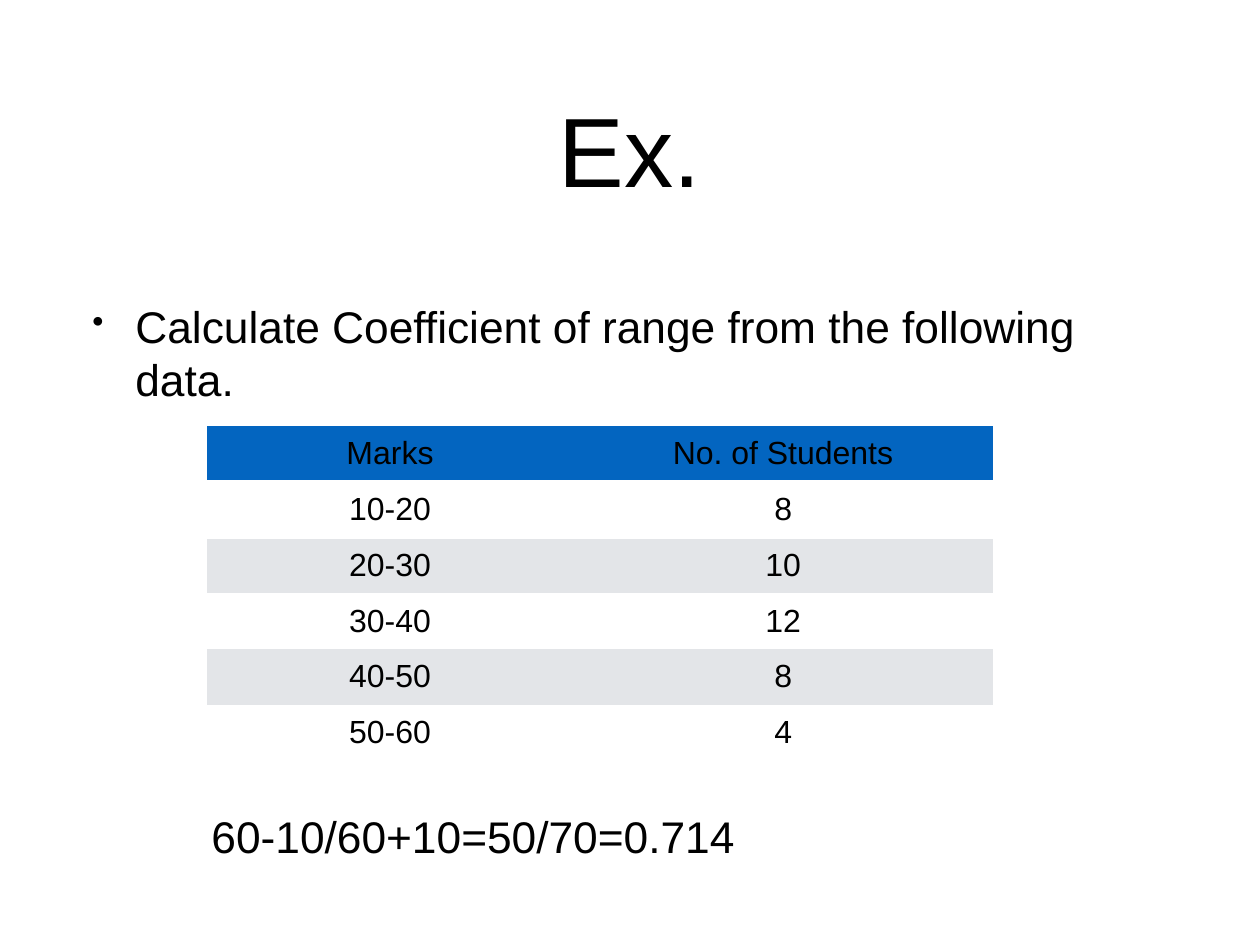
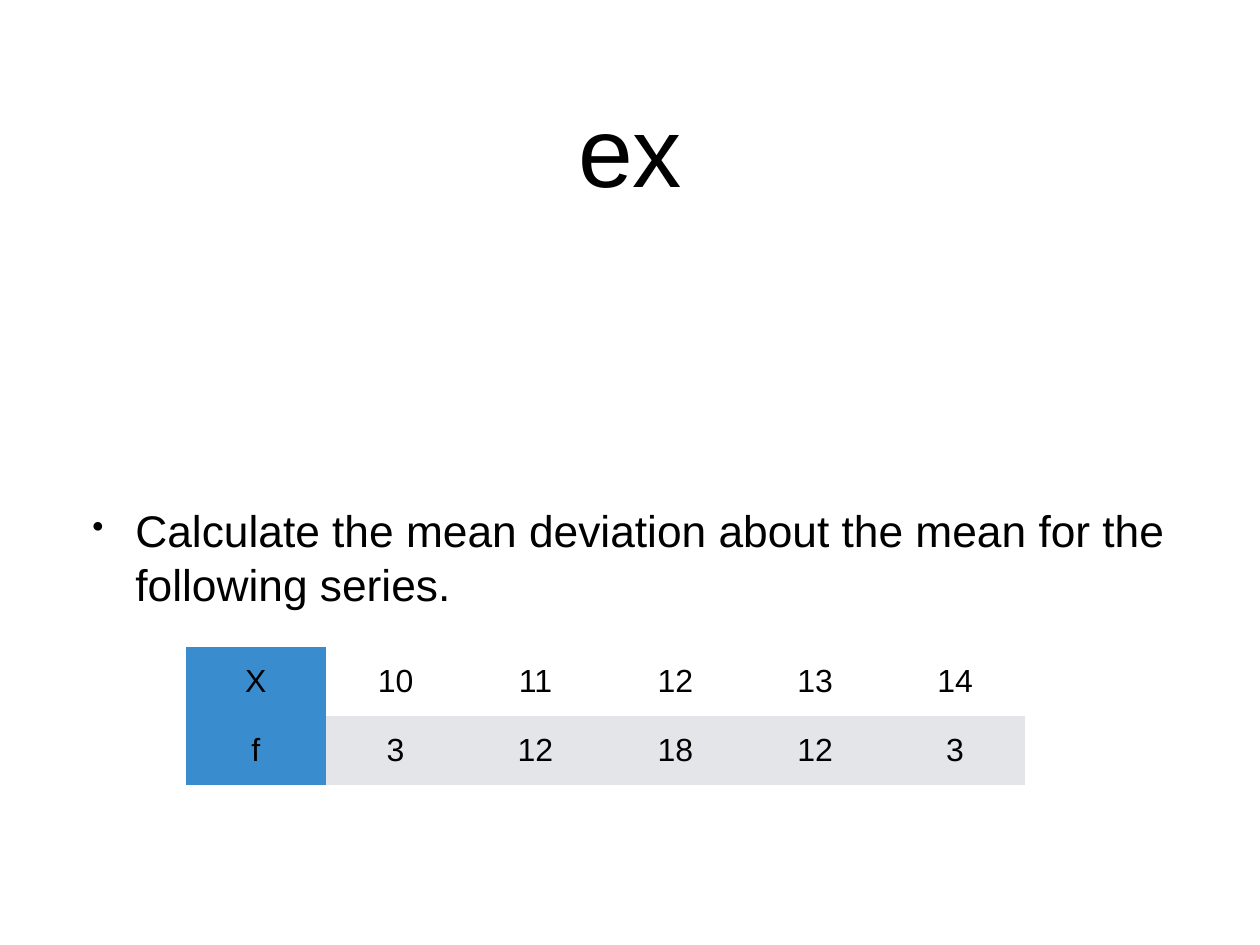
from pptx import Presentation
from pptx.dml.color import RGBColor
from pptx.enum.text import MSO_ANCHOR as Anchor, PP_ALIGN as Align
from pptx.oxml.ns import qn
from pptx.oxml.xmlchemy import OxmlElement
from pptx.util import Pt

FONT = "Arial"
BLACK, WHITE, BAND = "000000", "FFFFFF", "E3E5E8"
HEADER_ROW, HEADER_COLUMN = "0365C0", "398CCE"
PLAIN_TABLE = "{2D5ABB26-0587-4C30-8999-92F81FD0307C}"
LEFT, WIDTH = 75, 874


def color(code):
    return RGBColor.from_string(code)


def add_span(para, text, size):
    span = para.add_run()
    span.text = text
    span.font.name = FONT
    span.font.size = Pt(size)
    span.font.bold = False
    span.font.color.rgb = color(BLACK)


def add_child(parent, tag, **attributes):
    child = OxmlElement(tag)
    for name, value in attributes.items():
        child.set(name, value)
    parent.append(child)
    return child


def add_text(page, text, place, size, inset=0, align=Align.CENTER, wrap=True):
    box = page.shapes.add_textbox(*map(Pt, place))
    frame = box.text_frame
    frame.word_wrap = wrap
    frame.vertical_anchor = Anchor.MIDDLE
    frame.margin_left = frame.margin_right = Pt(inset)
    frame.margin_top = frame.margin_bottom = Pt(inset)
    para = frame.paragraphs[0]
    para.alignment = align
    add_span(para, text, size)
    return para


def add_title(page, text):
    add_text(page, text, (LEFT, 35, WIDTH, 170), 80)


def add_bullet(page, text, top):
    para = add_text(page, text, (LEFT, top, WIDTH, 495), 36, align=Align.LEFT)
    para.space_before = Pt(42)
    properties = para._p.get_or_add_pPr()
    properties.set("marL", str(Pt(35)))
    properties.set("indent", str(-Pt(35)))
    add_child(properties, "a:buSzPct", val="75000")
    add_child(properties, "a:buChar", char="•")


def add_border(cell, tag):
    line = OxmlElement(tag)
    line.set("w", str(Pt(3)))
    fill = add_child(line, "a:solidFill")
    add_child(fill, "a:srgbClr", val=WHITE)
    cell._tc.get_or_add_tcPr().insert(0, line)


def fill_cell(cell, text, fill):
    cell.fill.solid()
    cell.fill.fore_color.rgb = color(fill)
    cell.vertical_anchor = Anchor.MIDDLE
    cell.margin_left = cell.margin_right = Pt(4)
    cell.margin_top = cell.margin_bottom = Pt(4)
    para = cell.text_frame.paragraphs[0]
    para.alignment = Align.CENTER
    add_span(para, text, 26)


def add_grid(page, rows, left, top, widths, height, header_row):
    frame = page.shapes.add_table(
        len(rows), len(widths), Pt(left), Pt(top),
        Pt(sum(widths)), Pt(height * len(rows)))
    table = frame.table
    table.first_row = header_row
    table.first_col = not header_row
    table._tbl.tblPr.find(qn("a:tableStyleId")).text = PLAIN_TABLE
    for column, width in zip(table.columns, widths):
        column.width = Pt(width)
    for r, values in enumerate(rows):
        table.rows[r].height = Pt(height)
        for c, value in enumerate(values):
            fill = BAND if (r - header_row) % 2 else WHITE
            if header_row and r == 0:
                fill = HEADER_ROW
            elif not header_row and c == 0:
                fill = HEADER_COLUMN
            cell = table.cell(r, c)
            fill_cell(cell, value, fill)
            if header_row and r < 2:
                add_border(cell, "a:lnT" if r else "a:lnB")


def add_page(deck, title, task, task_top):
    page = deck.slides.add_slide(deck.slide_layouts[6])
    add_title(page, title)
    add_bullet(page, task, task_top)
    return page


def main():
    deck = Presentation()
    deck.slide_width, deck.slide_height = Pt(1024), Pt(768)

    page = add_page(
        deck, "Ex.",
        "Calculate Coefficient of range from the following data.", 39)
    marks = [("Marks", "No. of Students"), ("10-20", "8"), ("20-30", "10"),
             ("30-40", "12"), ("40-50", "8"), ("50-60", "4")]
    add_grid(page, marks, 168, 346, (298, 341), 45.33, True)
    add_text(page, "60-10/60+10=50/70=0.714", (163, 654, 443, 51), 36,
             inset=4, wrap=False)

    page = add_page(
        deck, "ex",
        "Calculate the mean deviation about the mean for the following series.",
        205)
    series = [("X", "10", "11", "12", "13", "14"),
              ("f", "3", "12", "18", "12", "3")]
    add_grid(page, series, 151, 526, [113.67] * 6, 56, False)

    deck.save("out.pptx")


if __name__ == "__main__":
    main()
